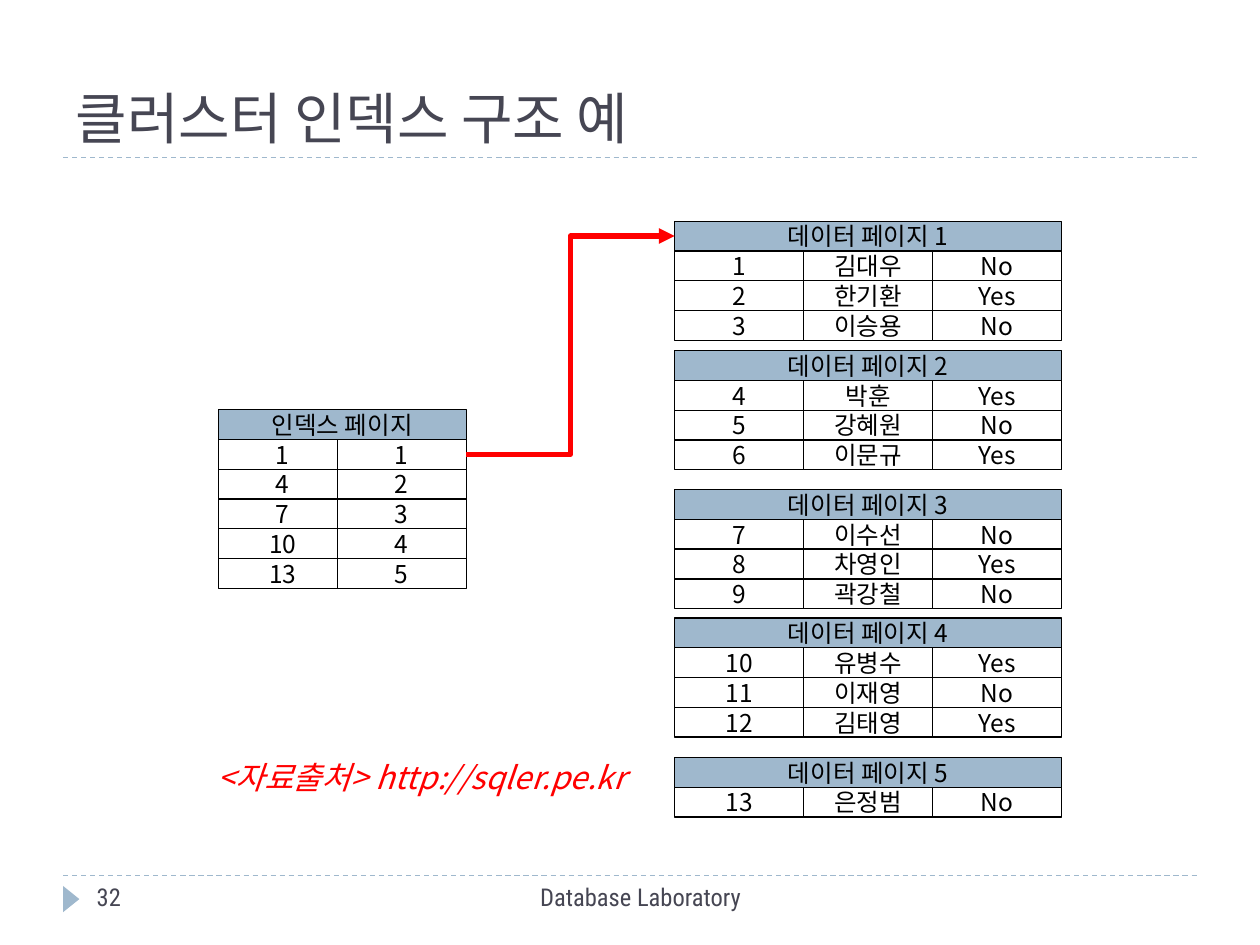
from lxml.etree import SubElement
from pptx import Presentation
from pptx.dml.color import RGBColor
from pptx.enum.dml import MSO_LINE
from pptx.enum.shapes import MSO_CONNECTOR as Connector, MSO_SHAPE as Preset
from pptx.enum.text import MSO_ANCHOR as Anchor, PP_ALIGN as Align
from pptx.oxml.ns import qn
from pptx.util import Cm, Pt

KOREAN = "Noto Sans CJK KR"
LATIN = "Roboto Condensed"
INK = "464653"
BLUE = "9FB8CD"
WHITE = "FFFFFF"
BLACK = "000000"
RED = "FF0000"

ROW_HEIGHT = 0.6
CELL_WIDTH = 2.6
INDEX_LEFT, INDEX_TOP, INDEX_STEP = 4.4, 8.26, 2.4
DATA_LEFT = 13.6

INDEX_ROWS = [("1", "1"), ("4", "2"), ("7", "3"), ("10", "4"), ("13", "5")]
DATA_PAGES = [
    (4.46, [("김대우", "No"), ("한기환", "Yes"), ("이승용", "No")]),
    (7.07, [("박훈", "Yes"), ("강혜원", "No"), ("이문규", "Yes")]),
    (9.87, [("이수선", "No"), ("차영인", "Yes"), ("곽강철", "No")]),
    (12.46, [("유병수", "Yes"), ("이재영", "No"), ("김태영", "Yes")]),
    (15.27, [("은정범", "No")]),
]


def color(hex_text):
    return RGBColor.from_string(hex_text)


def write(shape, text, size, font_name, ink, align, anchor, wrap=True, italic=False):
    frame = shape.text_frame
    frame.word_wrap = wrap
    frame.vertical_anchor = anchor
    paragraph = frame.paragraphs[0]
    paragraph.alignment = align
    run = paragraph.add_run()
    run.text = text
    font = run.font
    font.size = Pt(size)
    font.italic = italic
    font.color.rgb = color(ink)
    font.name = font_name
    # Korean glyphs follow the East Asian typeface.
    SubElement(run._r.get_or_add_rPr(), qn("a:ea"), typeface=font_name)


def add_text(slide, box, *args, **options):
    shape = slide.shapes.add_textbox(*map(Cm, box))
    write(shape, *args, **options)


def add_cell(group, text, left, top, width, fill=WHITE):
    cell = group.shapes.add_shape(
        Preset.RECTANGLE, Cm(left), Cm(top), Cm(width), Cm(ROW_HEIGHT))
    cell.shadow.inherit = False
    cell.fill.solid()
    cell.fill.fore_color.rgb = color(fill)
    cell.line.color.rgb = color(BLACK)
    cell.line.width = Pt(0.75)
    frame = cell.text_frame
    frame.margin_top = frame.margin_bottom = 0
    write(cell, text, 14, KOREAN, BLACK, Align.CENTER, Anchor.MIDDLE, wrap=False)
    return cell


def add_page(slide, heading, rows, left, top, step):
    """Draw a headed grid of cells; return its heading and its rows of cells."""
    group = slide.shapes.add_group_shape()
    width = step * (len(rows[0]) - 1) + CELL_WIDTH
    header = add_cell(group, heading, left, top, width, BLUE)
    cells = [
        [add_cell(group, text, left + column * step, top + row * ROW_HEIGHT, CELL_WIDTH)
         for column, text in enumerate(values)]
        for row, values in enumerate(rows, start=1)
    ]
    return header, cells


def add_line(slide, kind, ends, ink, width):
    connector = slide.shapes.add_connector(kind, *map(Cm, ends))
    connector.line.color.rgb = color(ink)
    connector.line.width = Pt(width)
    SubElement(connector._element.spPr, qn("a:effectLst"))
    return connector


def add_rule(slide, top):
    rule = add_line(slide, Connector.STRAIGHT, (1.27, top, 24.13, top), BLUE, 0.75)
    rule.line.dash_style = MSO_LINE.DASH


def add_pointer(slide, source, target):
    """Draw a bent arrow from the right of source to the left of target."""
    pointer = add_line(slide, Connector.ELBOW, (0, 0, 1, 1), RED, 3)
    pointer.begin_connect(source, 3)
    pointer.end_connect(target, 1)
    SubElement(pointer.line._get_or_add_ln(), qn("a:tailEnd"), type="triangle")


def add_title(slide, text):
    title = slide.shapes.title
    title.left, title.top, title.width, title.height = map(Cm, (1.27, 0.43, 22.86, 2.74))
    write(title, text, 32, KOREAN, INK, Align.LEFT, Anchor.BOTTOM)


def add_footer(slide):
    marker = slide.shapes.add_shape(
        Preset.ISOSCELES_TRIANGLE, Cm(1.17), Cm(17.96), Cm(0.53), Cm(0.33))
    marker.rotation = 90
    marker.shadow.inherit = False
    marker.fill.solid()
    marker.fill.fore_color.rgb = color(BLUE)
    marker.line.fill.background()
    add_text(slide, (8.05, 17.65, 9.73, 1.02), "Database Laboratory",
             14, LATIN, INK, Align.CENTER, Anchor.TOP)
    add_text(slide, (1.7, 17.65, 5.51, 1.02), "32",
             14, LATIN, INK, Align.LEFT, Anchor.TOP)


def main():
    presentation = Presentation()
    presentation.slide_width, presentation.slide_height = Cm(25.4), Cm(19.05)
    slide = presentation.slides.add_slide(presentation.slide_layouts[5])

    for top in (17.65, 3.17):
        add_rule(slide, top)
    add_title(slide, "클러스터 인덱스 구조 예")
    add_footer(slide)

    _, index_cells = add_page(
        slide, "인덱스 페이지", INDEX_ROWS, INDEX_LEFT, INDEX_TOP, INDEX_STEP)
    headers = []
    key = 1
    for number, (top, records) in enumerate(DATA_PAGES, start=1):
        rows = [(str(key + offset), *record) for offset, record in enumerate(records)]
        header, _ = add_page(
            slide, f"데이터 페이지 {number}", rows, DATA_LEFT, top, CELL_WIDTH)
        headers.append(header)
        key += len(records)

    add_text(slide, (3.99, 15.06, 9.02, 1.19), "<자료출처> http://sqler.pe.kr",
             18, KOREAN, RED, Align.CENTER, Anchor.MIDDLE, wrap=False, italic=True)
    add_pointer(slide, index_cells[0][-1], headers[0])

    presentation.save("out.pptx")


if __name__ == "__main__":
    main()
